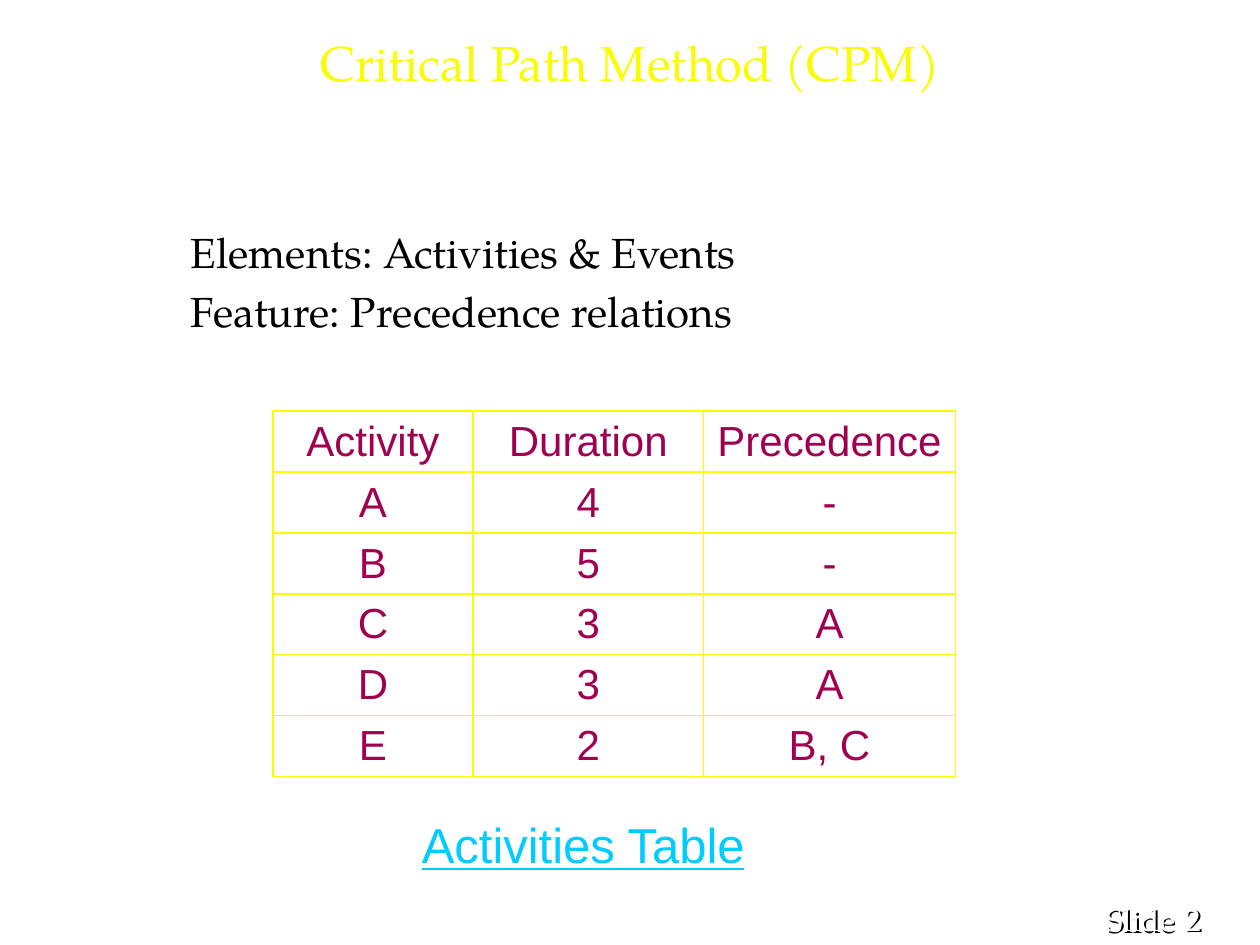
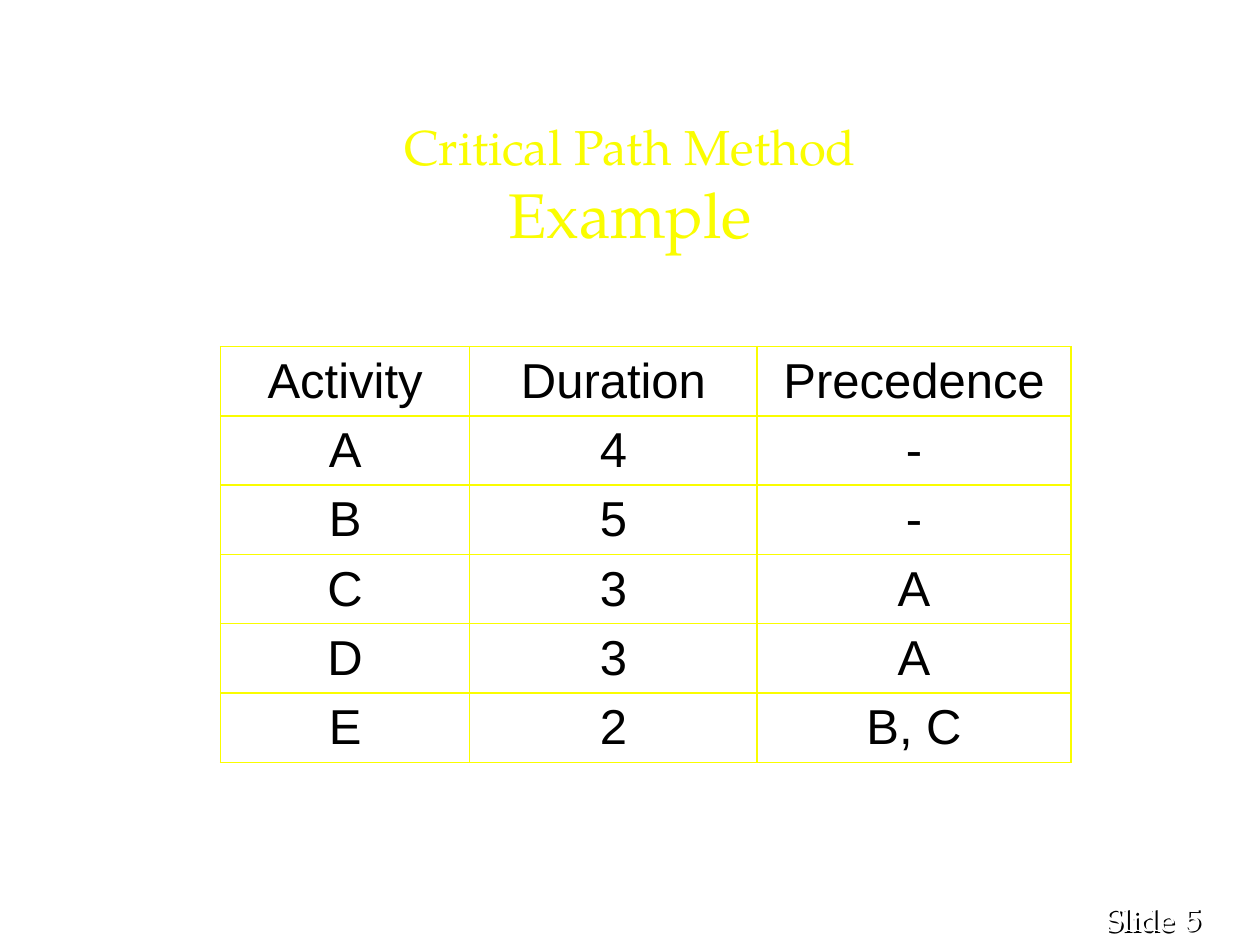
from lxml.etree import SubElement
from pptx import Presentation
from pptx.dml.color import RGBColor
from pptx.enum.text import MSO_ANCHOR, PP_ALIGN
from pptx.oxml.ns import qn
from pptx.util import Pt

COLORS = {
    "yellow": "FAFD00",
    "black": "000000",
    "white": "FFFFFF",
    "plum": "A00050",
    "cyan": "00CCFF",
}
SERIF = "TeX Gyre Pagella"
SANS = "Arial"
ACTIVITIES = [
    ("Activity", "Duration", "Precedence"),
    ("A", "4", "-"),
    ("B", "5", "-"),
    ("C", "3", "A"),
    ("D", "3", "A"),
    ("E", "2", "B, C"),
]
COLUMN_SHARES = (0.293, 0.338, 0.369)


def style_runs(paragraph, font_name, size, color):
    for run in paragraph.runs:
        run.font.name = font_name
        run.font.size = Pt(size)
        run.font.color.rgb = RGBColor.from_string(COLORS[color])


def add_text(slide, box, lines, font_name, color, align=PP_ALIGN.LEFT,
             anchor=MSO_ANCHOR.TOP, space_before=0):
    textbox = slide.shapes.add_textbox(*map(Pt, box))
    frame = textbox.text_frame
    frame.word_wrap = True
    frame.vertical_anchor = anchor
    frame.text = "\n".join(text for text, size in lines)
    for paragraph, (text, size) in zip(frame.paragraphs, lines):
        paragraph.alignment = align
        paragraph.space_before = Pt(space_before)
        style_runs(paragraph, font_name, size, color)
    return textbox


def add_title(slide, box, lines):
    add_text(slide, box, lines, SERIF, "yellow", PP_ALIGN.CENTER, MSO_ANCHOR.MIDDLE)


def add_text_shadow(textbox):
    effects = SubElement(textbox.element.spPr, qn("a:effectLst"))
    shadow = SubElement(effects, qn("a:outerShdw"), dist=str(Pt(1.5)), dir="2700000")
    SubElement(shadow, qn("a:srgbClr"), val=COLORS["black"])


def add_footer(slide, number):
    number_box = add_text(slide, (661.5, 510.5, 45.5, 29), [(str(number), 18)], SERIF, "white")
    number_box.text_frame.paragraphs[0]._p.get_or_add_pPr().set("marL", str(Pt(9)))
    label_box = add_text(slide, (625, 489, 65.5, 50.5), [("Slide", 18)], SERIF, "white",
                         anchor=MSO_ANCHOR.BOTTOM)
    for part in (number_box, label_box):
        add_text_shadow(part)


def draw_borders(cell):
    properties = cell._tc.get_or_add_tcPr()
    for side in ("lnL", "lnR", "lnT", "lnB"):
        border = SubElement(properties, qn(f"a:{side}"), w=str(Pt(1)))
        fill = SubElement(border, qn("a:solidFill"))
        SubElement(fill, qn("a:srgbClr"), val=COLORS["yellow"])


def add_activities_table(slide, left, top, width, row_height, size, color):
    table = slide.shapes.add_table(
        len(ACTIVITIES), len(COLUMN_SHARES),
        Pt(left), Pt(top), Pt(width), Pt(row_height * len(ACTIVITIES))).table
    table.first_row = table.horz_banding = False
    for column, share in zip(table.columns, COLUMN_SHARES):
        column.width = Pt(width * share)
    for row, values in zip(table.rows, ACTIVITIES):
        row.height = Pt(row_height)
        for cell, value in zip(row.cells, values):
            cell.text = value
            cell.vertical_anchor = MSO_ANCHOR.MIDDLE
            cell.margin_top = cell.margin_bottom = Pt(3)
            draw_borders(cell)
            cell.fill.background()
            paragraph = cell.text_frame.paragraphs[0]
            paragraph.alignment = PP_ALIGN.CENTER
            style_runs(paragraph, SANS, size, color)


def add_slide(deck, number):
    slide = deck.slides.add_slide(deck.slide_layouts[6])
    add_footer(slide, number)
    return slide


def main():
    deck = Presentation()
    deck.slide_width, deck.slide_height = Pt(720), Pt(540)

    overview = add_slide(deck, 2)
    add_title(overview, (42, 3.5, 636, 64), [("Critical Path Method (CPM)", 28)])
    add_text(overview, (102, 126, 516, 96),
             [("Elements: Activities & Events", 24), ("Feature: Precedence relations", 24)],
             SERIF, "black", space_before=5)
    add_activities_table(overview, 156, 235, 390, 34, 24, "plum")
    caption = add_text(overview, (234, 462, 246, 48), [("Activities Table", 28)],
                       SANS, "cyan", space_before=5)
    caption.text_frame.paragraphs[0].runs[0].font.underline = True

    example = add_slide(deck, 5)
    add_title(example, (36, 60, 648, 90), [("Critical Path Method", 28), ("Example", 36)])
    add_activities_table(example, 126, 198, 486, 38.4, 28, "black")

    deck.save("out.pptx")


if __name__ == "__main__":
    main()
